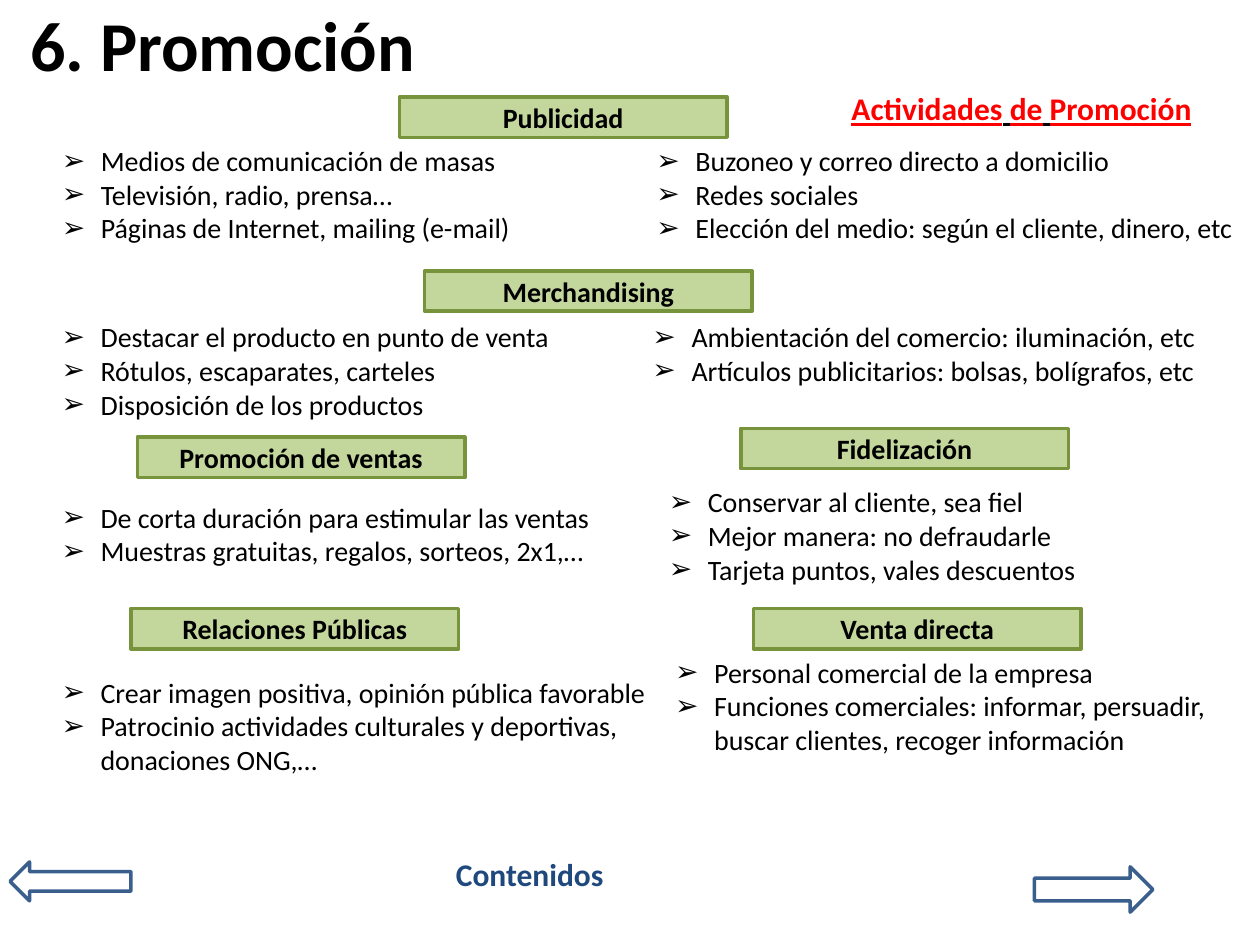
from pptx import Presentation
from pptx.dml.color import RGBColor
from pptx.enum.shapes import MSO_SHAPE
from pptx.enum.text import MSO_ANCHOR, MSO_AUTO_SIZE, PP_ALIGN
from pptx.oxml.ns import qn
from pptx.util import Inches, Pt
from lxml.etree import SubElement

FONT = "Calibri"
BLACK = RGBColor(0x00, 0x00, 0x00)
RED = RGBColor(0xFF, 0x00, 0x00)
NAVY = RGBColor(0x1F, 0x49, 0x7D)
ARROW_LINE = RGBColor(0x3A, 0x5F, 0x8C)
GREEN = RGBColor(0xC3, 0xD6, 0x9B)
DARK_GREEN = RGBColor(0x77, 0x93, 0x3C)

HEADING_SIZE = (2.6, 0.32)
HEADINGS = [
    ("Publicidad", 3.17, 0.77),
    ("Merchandising", 3.37, 2.15),
    ("Promoción de ventas", 1.09, 3.47),
    ("Fidelización", 5.88, 3.4),
    ("Relaciones Públicas", 1.04, 4.83),
    ("Venta directa", 5.98, 4.83),
]
PLACEHOLDER_LISTS = [
    ((0.39, 1.09, 4.72, 0.91), [
        "Medios de comunicación de masas",
        "Televisión, radio, prensa…",
        "Páginas de Internet, mailing (e-mail)",
    ]),
    ((5.11, 1.09, 4.85, 0.91), [
        "Buzoneo y correo directo a domicilio",
        "Redes sociales",
        "Elección del medio: según el cliente, dinero, etc",
    ]),
]
TEXT_BOX_LISTS = [
    ((0.39, 2.49, 4.69, 0.91), [
        "Destacar el producto en punto de venta",
        "Rótulos, escaparates, carteles",
        "Disposición de los productos",
    ]),
    ((5.08, 2.49, 4.85, 0.64), [
        "Ambientación del comercio: iluminación, etc",
        "Artículos publicitarios: bolsas, bolígrafos, etc",
    ]),
    ((0.39, 3.92, 4.57, 0.64), [
        "De corta duración para estimular las ventas",
        "Muestras gratuitas, regalos, sorteos, 2x1,…",
    ]),
    ((5.21, 3.8, 3.57, 0.91), [
        "Conservar al cliente, sea fiel",
        "Mejor manera: no defraudarle",
        "Tarjeta puntos, vales descuentos",
    ]),
    ((0.39, 5.31, 4.9, 0.91), [
        "Crear imagen positiva, opinión pública favorable",
        "Patrocinio actividades culturales y deportivas, donaciones ONG,…",
    ]),
    ((5.26, 5.15, 4.72, 0.91), [
        "Personal comercial de la empresa",
        "Funciones comerciales: informar, persuadir, buscar clientes, recoger información",
    ]),
]


def add_run(paragraph, text, size, color=BLACK, bold=False, underline=None):
    """Append one formatted run to a paragraph."""
    run = paragraph.add_run()
    run.text = text
    run.font.name = FONT
    run.font.size = Pt(size)
    run.font.bold = bold
    run.font.underline = underline
    run.font.color.rgb = color


def place(shape, box):
    """Move and size a shape to a box given in inches."""
    shape.left, shape.top, shape.width, shape.height = map(Inches, box)


def add_text_box(slide, box):
    """Add an empty wrapping text box."""
    shape = slide.shapes.add_textbox(*map(Inches, box))
    shape.text_frame.word_wrap = True
    return shape


def fill_list(shape, items):
    """Write items as arrow-bulleted paragraphs with a hanging indent."""
    frame = shape.text_frame
    frame.auto_size = MSO_AUTO_SIZE.NONE
    for index, item in enumerate(items):
        paragraph = frame.add_paragraph() if index else frame.paragraphs[0]
        paragraph.space_before = Pt(0)
        add_run(paragraph, item, 16)
        properties = paragraph._p.get_or_add_pPr()
        properties.set("marL", str(Inches(0.31)))
        properties.set("indent", str(Inches(-0.31)))
        SubElement(properties, qn("a:buFont"), typeface="Arial")
        SubElement(properties, qn("a:buChar"), char="➢")


def add_outlined_shape(slide, kind, box, line_color):
    """Add an unfilled preset shape with a two-point outline."""
    shape = slide.shapes.add_shape(kind, *map(Inches, box))
    shape.shadow.inherit = False
    shape.fill.background()
    shape.line.color.rgb = line_color
    shape.line.width = Pt(2)
    return shape


def add_heading(slide, text, left, top):
    """Add a green box with a bold centred heading."""
    box = (left, top, *HEADING_SIZE)
    shape = add_outlined_shape(slide, MSO_SHAPE.RECTANGLE, box, DARK_GREEN)
    shape.fill.solid()
    shape.fill.fore_color.rgb = GREEN
    shape.text_frame.vertical_anchor = MSO_ANCHOR.MIDDLE
    paragraph = shape.text_frame.paragraphs[0]
    paragraph.alignment = PP_ALIGN.CENTER
    add_run(paragraph, text, 16, bold=True)


def set_title(slide, text):
    """Format the title placeholder and write its text."""
    title = slide.shapes.title
    place(title, (0.14, 0.03, 9.42, 0.63))
    title.text_frame.auto_size = MSO_AUTO_SIZE.NONE
    title.text_frame.vertical_anchor = MSO_ANCHOR.MIDDLE
    paragraph = title.text_frame.paragraphs[0]
    paragraph.alignment = PP_ALIGN.LEFT
    add_run(paragraph, text, 40, bold=True)


def add_subtitle(slide):
    """Add the underlined red subtitle whose spaces are black."""
    paragraph = add_text_box(slide, (6.66, 0.66, 3.04, 0.4)).text_frame.paragraphs[0]
    for text in ("Actividades", " ", "de", " ", "Promoción"):
        color = BLACK if text == " " else RED
        add_run(paragraph, text, 18, color, bold=True, underline=True)


def add_navigation(slide):
    """Add the contents label and the previous and next arrows."""
    contents = add_text_box(slide, (3.52, 6.74, 1.44, 0.4))
    add_run(contents.text_frame.paragraphs[0], "Contenidos", 18, NAVY, bold=True)
    add_outlined_shape(slide, MSO_SHAPE.LEFT_ARROW, (0.08, 6.84, 0.96, 0.31), ARROW_LINE)
    add_outlined_shape(slide, MSO_SHAPE.RIGHT_ARROW, (8.21, 6.88, 0.94, 0.36), ARROW_LINE)


def main():
    """Build the promotion slide and save it."""
    presentation = Presentation()
    presentation.slide_width = Inches(10)
    presentation.slide_height = Inches(7.5)
    slide = presentation.slides.add_slide(presentation.slide_layouts[3])
    set_title(slide, "6. Promoción")
    add_subtitle(slide)
    for index, (box, items) in enumerate(PLACEHOLDER_LISTS, start=1):
        body = slide.placeholders[index]
        place(body, box)
        fill_list(body, items)
    for box, items in TEXT_BOX_LISTS:
        fill_list(add_text_box(slide, box), items)
    for text, left, top in HEADINGS:
        add_heading(slide, text, left, top)
    add_navigation(slide)
    presentation.save("out.pptx")


if __name__ == "__main__":
    main()
